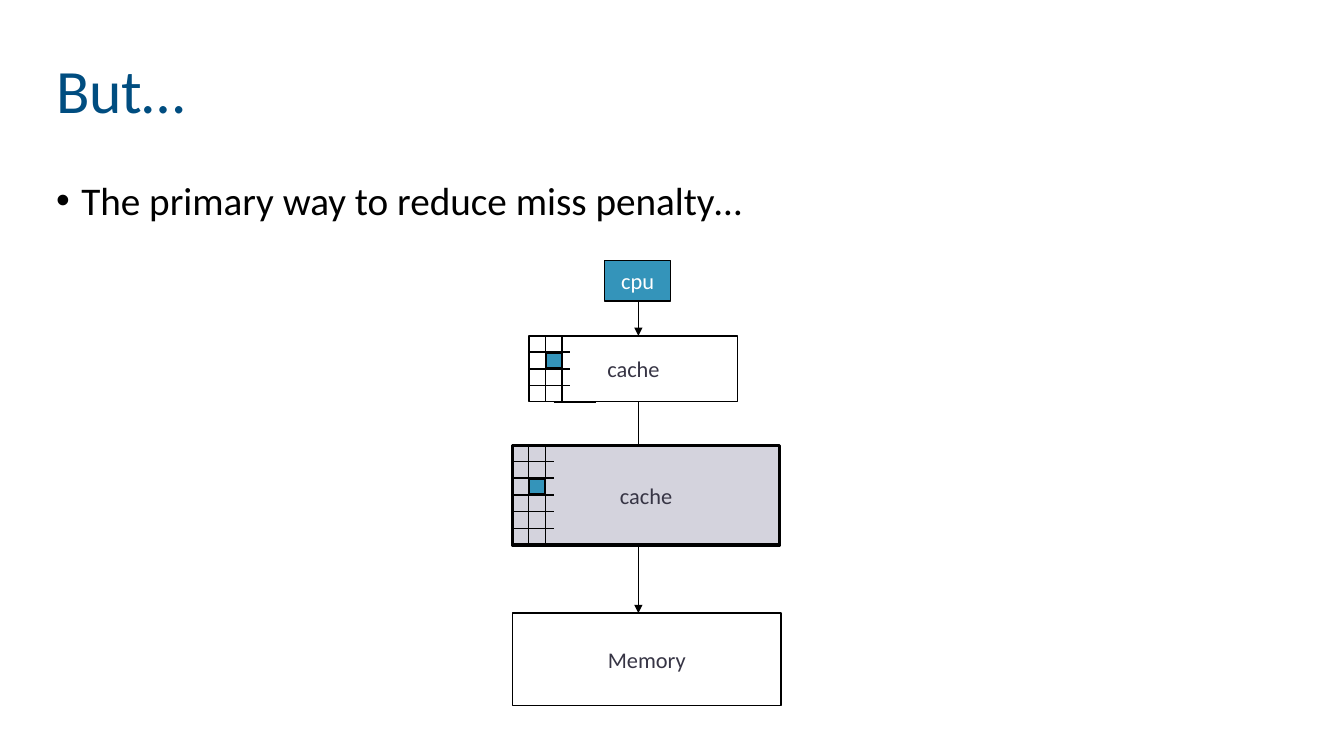
"""Build the slide on reducing miss penalty with a second cache level."""
from lxml.etree import SubElement
from pptx import Presentation
from pptx.dml.color import RGBColor
from pptx.enum.shapes import MSO_CONNECTOR as Connector, MSO_SHAPE as Shape
from pptx.enum.text import MSO_ANCHOR as Anchor, PP_ALIGN as Align
from pptx.oxml.ns import qn
from pptx.util import Pt

BLACK, BLUE, SLATE = "000000", "3494BA", "373545"
STEP = 12
GRID_WIDTH = 30
CELL = 10.8


def color(value):
    return RGBColor.from_string(value)


def style(target, values):
    for name, value in values.items():
        setattr(target, name, value)


class SlideBuilder:
    def __init__(self, page, font="Calibri"):
        self.page = page
        self.font = font

    def fill_text(self, frame, words, size, ink, frame_format, para_format):
        style(frame, frame_format)
        para = frame.paragraphs[0]
        style(para, para_format)
        span = para.add_run()
        span.text = words
        style(span.font, {"name": self.font, "size": Pt(size)})
        span.font.color.rgb = color(ink)
        return para

    def text(self, place, words, size, ink, anchor, bullet=False, before=0):
        box = self.page.shapes.add_textbox(*map(Pt, place))
        para = self.fill_text(
            box.text_frame, words, size, ink,
            {"word_wrap": True, "vertical_anchor": anchor},
            {"line_spacing": 0.9, "space_before": Pt(before)})
        if bullet:
            props = para._p.get_or_add_pPr()
            props.set("marL", str(Pt(18)))
            props.set("indent", str(Pt(-18)))
            SubElement(props, qn("a:buFont"), typeface="Arial")
            SubElement(props, qn("a:buChar"), char="•")

    def box(self, place, fill, words="", ink=SLATE, width=1):
        box = self.page.shapes.add_shape(Shape.RECTANGLE, *map(Pt, place))
        box.shadow.inherit = False
        box.fill.solid()
        box.fill.fore_color.rgb = color(fill)
        box.line.color.rgb = color(BLACK)
        box.line.width = Pt(width)
        if words:
            self.fill_text(
                box.text_frame, words, 16, ink,
                {"word_wrap": False, "vertical_anchor": Anchor.MIDDLE},
                {"alignment": Align.CENTER})

    def line(self, start, end, arrow=False):
        line = self.page.shapes.add_connector(
            Connector.STRAIGHT, *map(Pt, (*start, *end)))
        line.line.color.rgb = color(BLACK)
        line.line.width = Pt(1)
        props = line._element.spPr
        if arrow:
            SubElement(props.get_or_add_ln(), qn("a:tailEnd"), type="triangle")
        SubElement(props, qn("a:effectLst"))

    def grid(self, left, top, rows, marked_row):
        for row in range(1, rows):
            y = top + row * STEP
            self.line((left, y), (left + GRID_WIDTH, y))
        for column in (1, 2):
            x = left + column * STEP
            self.line((x, top), (x, top + rows * STEP))
        self.box((left + STEP + 0.6, top + marked_row * STEP + 0.6, CELL, CELL), BLUE)


def main():
    deck = Presentation()
    style(deck, {"slide_width": Pt(960), "slide_height": Pt(540)})
    slide = SlideBuilder(deck.slides.add_slide(deck.slide_layouts[6]))

    slide.line((456, 287.5), (456, 438), arrow=True)
    slide.text((33, 14.5, 909, 104.4), "But…", 44, "004D80", Anchor.MIDDLE)
    slide.text((33, 126, 909, 361), "The primary way to reduce miss penalty…",
               28, BLACK, Anchor.TOP, bullet=True, before=10)
    slide.box((432, 186, 47, 29), BLUE, "cpu", "FFFFFF")
    slide.box((378, 240, 149, 47), "FFFFFF", "cache")
    slide.box((366, 318, 191, 71.3), "D4D3DD", "cache", width=2.25)
    slide.line((456, 215.5), (456, 240), arrow=True)
    slide.grid(377.5, 239.5, rows=4, marked_row=1)
    slide.line((395.5, 287.5), (425.5, 287.5))
    slide.grid(365.5, 317.5, rows=6, marked_row=2)
    slide.box((366, 438, 192, 66), "FFFFFF", "Memory")

    deck.save("out.pptx")


if __name__ == "__main__":
    main()
